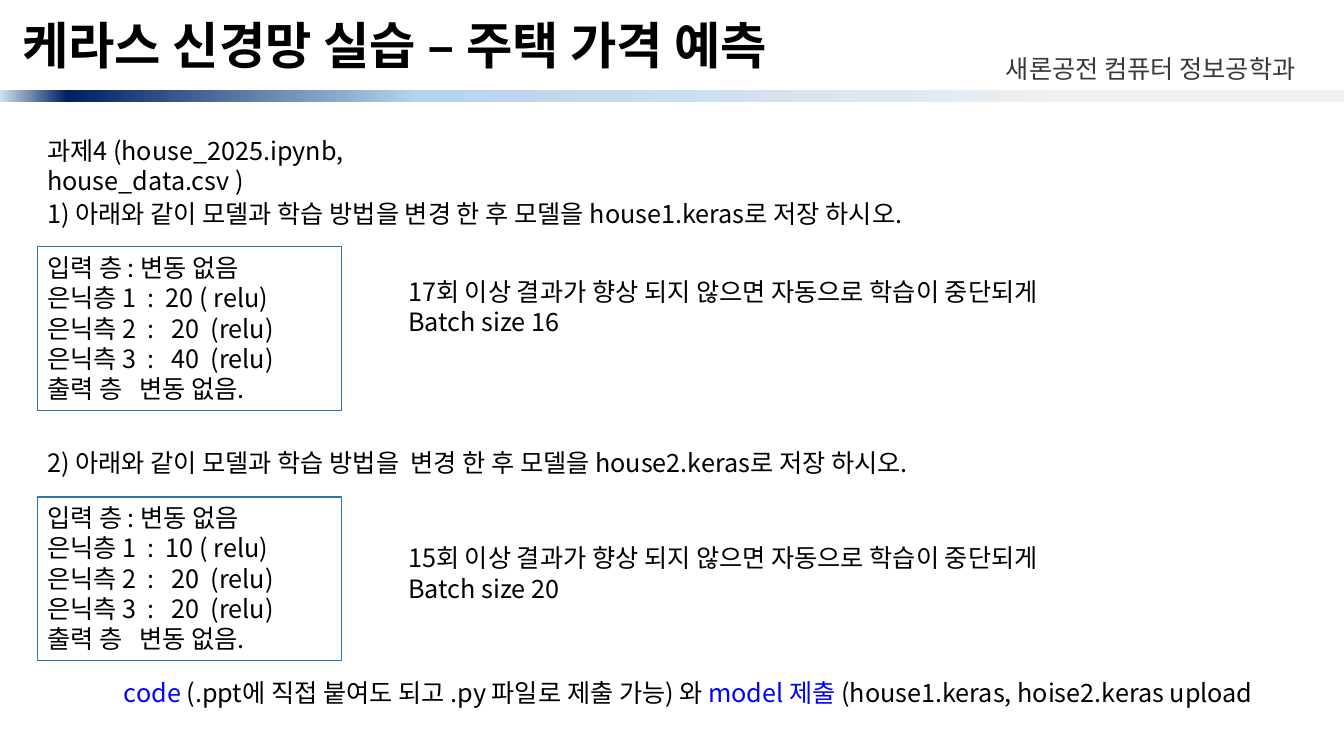
from dataclasses import dataclass

from lxml.etree import SubElement
from pptx import Presentation
from pptx.dml.color import RGBColor
from pptx.enum.shapes import MSO_SHAPE as Shape
from pptx.enum.text import MSO_ANCHOR as Anchor, MSO_AUTO_SIZE as Fit, PP_ALIGN as Align
from pptx.oxml.ns import qn
from pptx.util import Pt

FONT = "Noto Sans CJK KR"
BLACK, BLUE, EDGE = "000000", "0000FF", "2E75B6"
LEFT, NOTE_LEFT = 26.6, 284.4


@dataclass
class Task:
    head: str
    units: tuple[int, int, int]
    note: list[str]
    head_top: float
    box_top: float
    note_top: float


TASKS = [
    Task("1) 아래와 같이 모델과 학습 방법을 변경 한 후 모델을 house1.keras로 저장 하시오.",
         (20, 20, 40),
         ["17회 이상 결과가 향상 되지 않으면 자동으로 학습이 중단되게", "Batch size 16"],
         138.2, 176.4, 193.7),
    Task("2) 아래와 같이 모델과 학습 방법을  변경 한 후 모델을 house2.keras로 저장 하시오.",
         (10, 20, 20),
         ["15회 이상 결과가 향상 되지 않으면 자동으로 학습이 중단되게", "Batch size 20"],
         316, 355, 383.8),
]


def rgb(code: str) -> RGBColor:
    return RGBColor.from_string(code)


def style(run, color: str = BLACK, font: str = FONT, size: float = 18) -> None:
    run.font.size = Pt(size)
    run.font.name = font
    run.font.color.rgb = rgb(color)
    if font == FONT:
        SubElement(run.font._element, qn("a:ea"), typeface=font)


def write(frame, lines: list[str], color: str = BLACK, font: str = FONT) -> None:
    frame.word_wrap = True
    frame.vertical_anchor = Anchor.TOP
    frame.text = "\n".join(lines)
    for para in frame.paragraphs:
        para.alignment = Align.LEFT
        para.line_spacing = Pt(21.7)
        for run in para.runs:
            style(run, color, font)


def label(slide, left: float, top: float, width: float, lines: list[str],
          color: str = BLACK, font: str = FONT):
    box = slide.shapes.add_textbox(Pt(left), Pt(top), Pt(width), Pt(7.2 + 21.7 * len(lines)))
    write(box.text_frame, lines, color, font)
    return box


def draw_bar(slide) -> None:
    bar = slide.shapes.add_shape(Shape.RECTANGLE, 0, Pt(64.1), Pt(960), Pt(8.6))
    bar.shadow.inherit = False
    bar.line.fill.background()
    bar.fill.gradient()
    grad = bar._element.spPr.find(qn("a:gradFill"))
    stops = grad.find(qn("a:gsLst"))
    for old in list(stops):
        stops.remove(old)
    for place, color in ((17, "F2F2F2"), (69, "B5D2EC"), (95, "002060"), (100, "CEE1F2")):
        stop = SubElement(stops, qn("a:gs"), pos=str(place * 1000))
        SubElement(stop, qn("a:srgbClr"), val=color)
    bar.fill.gradient_angle = 180


def draw_title(slide) -> None:
    title = slide.shapes.title
    title.left, title.top, title.width, title.height = Pt(4.3), Pt(6.5), Pt(951.8), Pt(55.4)
    frame = title.text_frame
    frame.text = "케라스 신경망 실습 – 주택 가격 예측"
    frame.auto_size = Fit.NONE
    frame.vertical_anchor = Anchor.MIDDLE
    frame.margin_left = Pt(11.5)
    para = frame.paragraphs[0]
    para.alignment = Align.LEFT
    para.line_spacing = 0.9
    style(para.runs[0], font="Calibri", size=36)
    para.runs[0].font.bold = True


def draw_task(slide, task: Task) -> None:
    label(slide, LEFT, task.head_top, 710, [task.head])
    box = slide.shapes.add_shape(Shape.RECTANGLE, Pt(LEFT), Pt(task.box_top), Pt(217.4), Pt(116.6))
    box.shadow.inherit = False
    box.fill.background()
    box.line.color.rgb = rgb(EDGE)
    box.line.width = Pt(0.75)
    one, two, three = task.units
    write(box.text_frame, [
        "입력 층 : 변동 없음",
        f"은닉층 1  :  {one} ( relu)",
        f"은닉측 2  :   {two}  (relu)",
        f"은닉측 3  :   {three}  (relu)",
        "출력 층   변동 없음.",
    ])
    label(slide, NOTE_LEFT, task.note_top, 522, task.note)


def draw_hand_in(slide) -> None:
    box = label(slide, 81.4, 480.2, 858.2, [""])
    para = box.text_frame.paragraphs[0]
    for text, color in (
        ("code", BLUE),
        (" (.ppt에 직접 붙여도 되고 .py 파일로 제출 가능) 와 ", BLACK),
        ("model 제출 ", BLUE),
        ("(house1.keras, hoise2.keras upload", BLACK),
    ):
        run = para.add_run()
        run.text = text
        style(run, color)


def main() -> None:
    deck = Presentation()
    deck.slide_width, deck.slide_height = Pt(960), Pt(540)
    slide = deck.slides.add_slide(deck.slide_layouts[5])
    draw_bar(slide)
    draw_title(slide)
    label(slide, 711.4, 34.6, 245.5, ["새론공전 컴퓨터 정보공학과"], "3B3838", "Arial")
    label(slide, LEFT, 92.9, 260, ["과제4 (house_2025.ipynb, house_data.csv )"])
    for task in TASKS:
        draw_task(slide, task)
    draw_hand_in(slide)
    deck.save("out.pptx")


if __name__ == "__main__":
    main()
